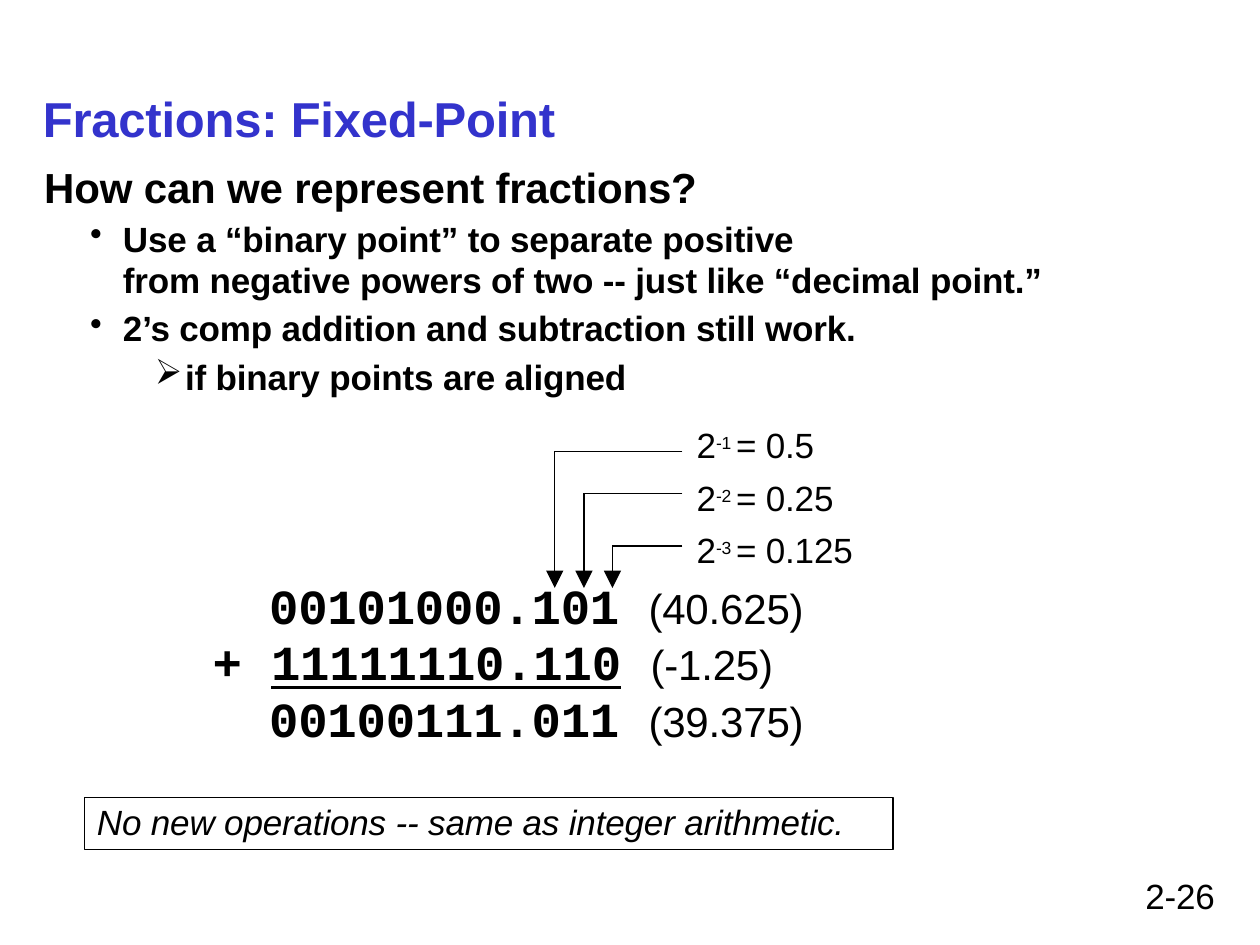
"""Build the slide on fixed-point fractions."""
from dataclasses import dataclass

from lxml import etree
from pptx import Presentation
from pptx.dml.color import RGBColor
from pptx.enum.shapes import MSO_CONNECTOR, MSO_SHAPE
from pptx.enum.text import MSO_ANCHOR, MSO_AUTO_SIZE, PP_ALIGN
from pptx.oxml.ns import qn
from pptx.slide import Slide
from pptx.util import Pt

STRAIGHT = MSO_CONNECTOR.STRAIGHT
RECTANGLE = MSO_SHAPE.RECTANGLE
TOP = MSO_ANCHOR.TOP
GROW = MSO_AUTO_SIZE.SHAPE_TO_FIT_TEXT
LEFT, CENTER = PP_ALIGN.LEFT, PP_ALIGN.CENTER
BLACK = RGBColor(0x00, 0x00, 0x00)
BLUE = RGBColor(0x33, 0x33, 0xCC)


@dataclass
class SlideBuilder:
    slide: Slide
    font: str = "Arial"
    mono: str = "Courier New"
    size: float = 20
    color: RGBColor = BLACK
    line_width: float = 0.75
    tracking: int = -10

    def prepare(self, shape, inset_top):
        frame = shape.text_frame
        frame.word_wrap = True
        frame.auto_size = GROW
        frame.vertical_anchor = TOP
        frame.margin_left = frame.margin_right = frame.margin_bottom = 0
        frame.margin_top = Pt(inset_top)
        return frame

    def text_box(self, left, top, width, height, inset_top=0):
        shape = self.slide.shapes.add_textbox(Pt(left), Pt(top), Pt(width), Pt(height))
        return self.prepare(shape, inset_top)

    def outlined_box(self, left, top, width, height, inset_top):
        shape = self.slide.shapes.add_shape(RECTANGLE, Pt(left), Pt(top), Pt(width), Pt(height))
        shape.shadow.inherit = False
        shape.fill.background()
        shape.line.color.rgb = self.color
        shape.line.width = Pt(self.line_width)
        return self.prepare(shape, inset_top)

    def paragraph(self, frame, before=0, spacing=None, margin=0, hanging=0,
                  right=0, bullet=None, level=0, align=LEFT):
        first = frame.paragraphs[0]
        paragraph = frame.add_paragraph() if first.runs else first
        paragraph.alignment = align
        paragraph.level = level
        paragraph.space_before = Pt(before)
        if spacing:
            paragraph.line_spacing = Pt(spacing)
        properties = paragraph._p.get_or_add_pPr()
        properties.set("marL", str(Pt(margin)))
        properties.set("marR", str(Pt(right)))
        properties.set("indent", str(Pt(-hanging)))
        if bullet:
            etree.SubElement(properties, qn("a:buChar"), char=bullet)
        else:
            etree.SubElement(properties, qn("a:buNone"))
        return paragraph

    def run(self, paragraph, text, size=None, font=None, color=None,
            bold=False, italic=False, underline=False, raised=0):
        run = paragraph.add_run()
        run.text = text
        run.font.name = font or self.font
        run.font.size = Pt(size or self.size)
        run.font.color.rgb = color or self.color
        run.font.bold = bold
        run.font.italic = italic
        run.font.underline = underline
        properties = run._r.get_or_add_rPr()
        properties.set("spc", str(self.tracking))
        if raised:
            properties.set("baseline", str(raised * 1000))

    def line(self, start_x, start_y, end_x, end_y, arrow=False):
        connector = self.slide.shapes.add_connector(
            STRAIGHT, Pt(start_x), Pt(start_y), Pt(end_x), Pt(end_y))
        connector.line.color.rgb = self.color
        connector.line.width = Pt(self.line_width)
        if arrow:
            etree.SubElement(connector.line._get_or_add_ln(), qn("a:tailEnd"),
                             type="triangle", w="lg", len="lg")
        etree.SubElement(connector._element.spPr, qn("a:effectLst"))


def add_points(builder, frame):
    heading = builder.paragraph(frame, before=5.5, margin=3)
    builder.run(heading, "How can we represent fractions?", size=24, bold=True)
    points = [
        ("Use a “binary point” to separate positive",
         dict(before=3.8, spacing=23.4, margin=48, hanging=18.7, bullet="•")),
        ("from negative powers of two -- just like “decimal point.”",
         dict(spacing=23.4, margin=48)),
        ("2’s comp addition and subtraction still work.",
         dict(before=3.8, margin=48, hanging=18.7, bullet="•")),
        ("if binary points are aligned",
         dict(before=3.8, margin=83.5, hanging=17.3, bullet="➢", level=1)),
    ]
    for text, layout in points:
        builder.run(builder.paragraph(frame, **layout), text, bold=True)


def add_powers(builder, frame):
    powers = [("-1 ", "0.5", 14.8), ("-2 ", "0.25", 6), ("-3 ", "0.125", 6)]
    for exponent, value, before in powers:
        paragraph = builder.paragraph(frame, before=before, margin=375.8)
        builder.run(paragraph, "2")
        builder.run(paragraph, exponent, size=17.2, raised=29)
        builder.run(paragraph, "= ")
        builder.run(paragraph, value)


def add_sum(builder, frame):
    rows = [
        ("", "00101000.101", "(40.625)", 3.5, 32.8, 14.7),
        ("+ ", "11111110.110", "(-1.25)", 0, 31.9, 64.5),
        ("", "00100111.011", "(39.375)", 0, 32.8, 14.7),
    ]
    for sign, digits, value, before, spacing, right in rows:
        paragraph = builder.paragraph(frame, before=before, spacing=spacing,
                                      right=right, align=CENTER)
        mono = dict(size=28, font=builder.mono, bold=True)
        if sign:
            builder.run(paragraph, sign, **mono)
        builder.run(paragraph, digits, underline=bool(sign), **mono)
        builder.run(paragraph, " ", **mono)
        builder.run(paragraph, value, size=24)


def main():
    presentation = Presentation()
    presentation.slide_width, presentation.slide_height = Pt(720), Pt(540)
    builder = SlideBuilder(presentation.slides.add_slide(presentation.slide_layouts[6]))

    title = builder.text_box(23.8, 49.7, 297.4, 35.3, inset_top=0.7)
    builder.run(builder.paragraph(title, before=1, margin=0.7), "Fractions: Fixed-Point",
                size=28, color=BLUE, bold=True)

    body = builder.text_box(22.3, 86.4, 583.2, 341.3, inset_top=5.8)
    add_points(builder, body)
    add_powers(builder, body)
    add_sum(builder, body)

    for digit_x, label_y in [(317, 258), (333.7, 282), (350, 312)]:
        builder.line(390, label_y, digit_x, label_y)
        builder.line(digit_x, label_y, digit_x, 336, arrow=True)

    note = builder.outlined_box(48.2, 455.8, 462.2, 29.5, inset_top=1.4)
    builder.run(builder.paragraph(note, before=1.7, margin=7.2),
                "No new operations -- same as integer arithmetic.", italic=True)

    page = builder.text_box(653.8, 500.4, 42.5, 24.5)
    builder.run(builder.paragraph(page, spacing=23.1, margin=0.7), "2-26")

    presentation.save("out.pptx")


if __name__ == "__main__":
    main()
